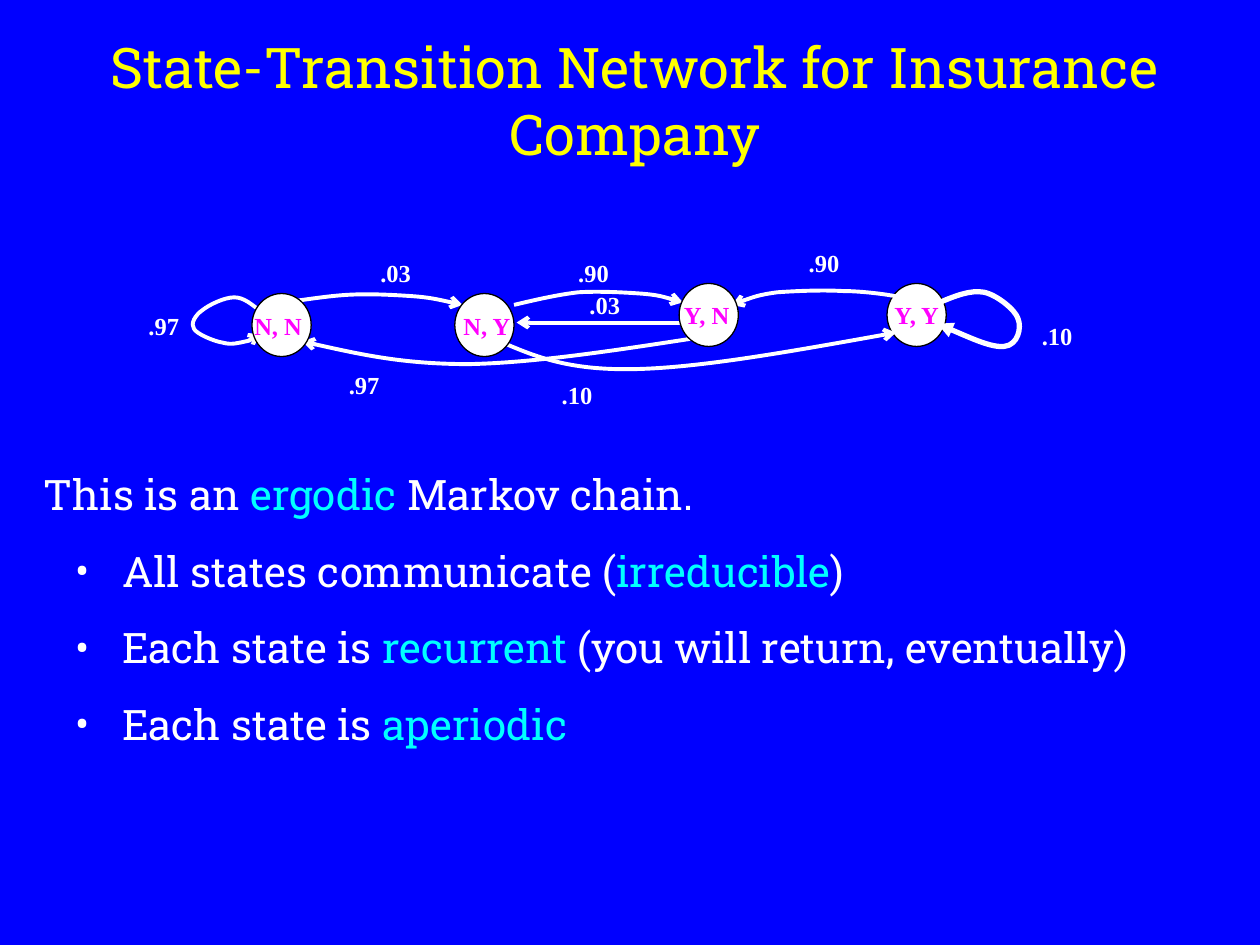
import pptx
import pptx.util
import pptx.dml.color
import pptx.enum.shapes
import pptx.enum.text
import pptx.oxml.ns
from dataclasses import dataclass
from lxml import etree
from pptx.util import Inches, Pt

qn = pptx.oxml.ns.qn
PP_ALIGN = pptx.enum.text.PP_ALIGN


@dataclass(frozen=True)
class Theme:
    background: str = "0000FF"
    title: str = "FFFF00"
    text: str = "FFFFFF"
    accent: str = "00FFFF"
    state: str = "FF00FF"
    outline: str = "000000"
    heading_font: str = "Roboto Slab"
    label_font: str = "Times New Roman"
    title_size: int = 32
    body_size: int = 24
    label_size: int = 14
    arrow_width: float = 2.25
    outline_width: float = 0.75


def rgb(color):
    return pptx.dml.color.RGBColor.from_string(color)


class Deck:
    def __init__(self, theme):
        self.theme = theme
        self.prs = pptx.Presentation()
        self.prs.slide_width, self.prs.slide_height = Inches(10), Inches(7.5)
        self.s = self.prs.slides.add_slide(self.prs.slide_layouts[6])
        fill = self.s.background.fill
        fill.solid()
        fill.fore_color.rgb = rgb(theme.background)

    def box(self, at, shapes=None):
        """Add an empty wrapping text box and return its text frame."""
        if shapes is None:
            shapes = self.s.shapes
        tf = shapes.add_textbox(*map(Inches, at)).text_frame
        tf.word_wrap = True
        return tf

    def style(self, p, font, size, color, bold=False):
        p.font.name, p.font.size, p.font.bold = font, Pt(size), bold
        p.font.color.rgb = rgb(color)

    def title(self, text, at):
        tf = self.box(at)
        tf.vertical_anchor = pptx.enum.text.MSO_ANCHOR.MIDDLE
        p = tf.paragraphs[0]
        p.text, p.alignment = text, PP_ALIGN.CENTER
        self.style(p, self.theme.heading_font, self.theme.title_size, self.theme.title)

    def label(self, text, at, color=None, shapes=None):
        p = self.box(at, shapes).paragraphs[0]
        p.text = text
        self.style(p, self.theme.label_font, self.theme.label_size,
                   color or self.theme.text, bold=True)

    def state(self, text, left, top, label_at):
        """Add a circle grouped with its name."""
        group = self.s.shapes.add_group_shape()
        sp = group.shapes.add_shape(pptx.enum.shapes.MSO_SHAPE.OVAL, Inches(left),
                                    Inches(top), Inches(0.47), Inches(0.5))
        sp.shadow.inherit = False
        sp.fill.solid()
        sp.fill.fore_color.rgb = rgb(self.theme.text)
        sp.line.color.rgb = rgb(self.theme.outline)
        sp.line.width = Pt(self.theme.outline_width)
        self.label(text, label_at, self.theme.state, group.shapes)

    def arrow_line(self, shape, head, width):
        shape.line.color.rgb = rgb(self.theme.text)
        shape.line.width = Pt(width)
        etree.SubElement(shape.line._get_or_add_ln(), qn("a:tailEnd"), type=head)

    def arrow(self, start, end):
        c = self.s.shapes.add_connector(pptx.enum.shapes.MSO_CONNECTOR.STRAIGHT,
                                        *map(Inches, start + end))
        self.arrow_line(c, "arrow", self.theme.arrow_width)
        etree.SubElement(c._element.spPr, qn("a:effectLst"))

    def curve(self, points, head="arrow", width=None):
        """Draw cubic Bezier pieces: a start, then three points a piece."""
        start, *rest = [(Inches(x), Inches(y)) for x, y in points]
        builder = self.s.shapes.build_freeform(*start)
        builder.add_line_segments(rest, close=False)
        sp = builder.convert_to_shape()
        sp.shadow.inherit = False
        sp.fill.background()
        self.arrow_line(sp, head, width or self.theme.arrow_width)
        outline = next(sp._element.iter(qn("a:path")))
        segments = outline.findall(qn("a:lnTo"))
        for i in range(0, len(segments), 3):
            bezier = etree.SubElement(outline, qn("a:cubicBezTo"))
            for segment in segments[i:i + 3]:
                bezier.append(segment[0])
                outline.remove(segment)

    def body(self, lead, bullets, at):
        """Write a lead line and bullets; every second part is accented."""
        tf = self.box(at)
        for i, parts in enumerate([lead] + bullets):
            p = tf.paragraphs[0] if i == 0 else tf.add_paragraph()
            self.style(p, self.theme.heading_font, self.theme.body_size, self.theme.text)
            p.space_before, p.space_after = Pt(0 if i else 15), Pt(15)
            for j, part in enumerate(parts):
                r = p.add_run()
                r.text = part
                if j % 2:
                    r.font.color.rgb = rgb(self.theme.accent)
            if i:
                self.bullet(p)

    def bullet(self, p):
        p.level = 1
        pPr = p._p.get_or_add_pPr()
        pPr.set("marL", str(Inches(0.62)))
        pPr.set("indent", str(Inches(-0.37)))
        color = etree.Element(qn("a:buClr"))
        etree.SubElement(color, qn("a:srgbClr"), val=self.theme.text)
        font = etree.Element(qn("a:buFont"), typeface=self.theme.heading_font)
        char = etree.Element(qn("a:buChar"), char="•")
        for element in (color, font, char):
            pPr.find(qn("a:defRPr")).addprevious(element)


CURVES = [
    [(2.07, 2.47), (2, 2.42), (1.94, 2.36), (1.86, 2.36),
     (1.78, 2.36), (1.66, 2.42), (1.61, 2.46), (1.55, 2.5), (1.51, 2.57), (1.54, 2.61),
     (1.56, 2.65), (1.7, 2.71), (1.77, 2.72), (1.84, 2.74), (1.9, 2.72), (1.95, 2.71),
     (2, 2.7), (2.04, 2.67), (2.07, 2.65)],
    [(2.25, 2.4), (2.42, 2.38), (2.59, 2.35), (2.76, 2.34),
     (2.93, 2.33), (3.11, 2.34), (3.26, 2.35), (3.41, 2.36), (3.54, 2.39), (3.67, 2.42)],
    [(7.15, 2.36), (7.07, 2.34), (6.85, 2.31), (6.69, 2.31),
     (6.52, 2.3), (6.31, 2.31), (6.17, 2.32), (6.02, 2.34), (5.91, 2.38), (5.81, 2.42)],
    [(4.08, 2.42), (4.25, 2.38), (4.42, 2.34), (4.59, 2.32),
     (4.75, 2.31), (4.94, 2.32), (5.08, 2.33), (5.22, 2.34), (5.32, 2.37), (5.42, 2.4)],
    [(3.99, 2.72), (4.25, 2.83), (4.51, 2.94), (5.03, 2.93),
     (5.55, 2.92), (6.33, 2.78), (7.11, 2.64)],
    [(5.54, 2.68), (4.89, 2.78), (4.25, 2.88), (3.72, 2.89),
     (3.2, 2.89), (2.8, 2.8), (2.4, 2.71)],
]
YY_LOOP = [(7.46, 2.4), (7.58, 2.35), (7.7, 2.3), (7.81, 2.32),
           (7.91, 2.34), (8.06, 2.46), (8.08, 2.53),
           (8.11, 2.6), (8.08, 2.74), (7.97, 2.75), (7.87, 2.76), (7.65, 2.66), (7.44, 2.57)]
PROBABILITIES = [
    (".97", (1.08, 2.42, 0.5, 0.25)), (".03", (2.92, 2, 0.67, 0.25)),
    (".97", (2.67, 2.89, 0.58, 0.53)), (".90", (4.49, 2, 1.01, 0.33)),
    (".03", (4.58, 2.25, 0.75, 0.32)), (".10", (4.36, 2.97, 0.47, 0.36)),
    (".90", (6.32, 1.92, 0.6, 0.42)), (".10", (8.17, 2.5, 0.74, 0.47)),
]
STATES = [
    ("Y, N", 5.39, 2.25, (5.33, 2.33, 0.72, 0.42)),
    ("N, Y", 3.61, 2.33, (3.58, 2.42, 1.08, 0.25)),
    ("N, N", 2, 2.33, (1.92, 2.42, 0.83, 0.33)),
]


def main():
    deck = Deck(Theme())
    deck.state("Y, Y", 7.04, 2.25, (7, 2.33, 0.68, 0.32))
    for points in CURVES:
        deck.curve(points)
    deck.curve(YY_LOOP, head="triangle", width=3)
    deck.arrow((5.44, 2.56), (4.1, 2.56))
    for text, at in PROBABILITIES:
        deck.label(text, at)
    for state in STATES:
        deck.state(*state)
    deck.title("State-Transition Network for Insurance Company", (0.75, 0.25, 8.58, 1.08))
    deck.body(["This is an ", "ergodic ", "Markov chain."],
              [["All states communicate (", "irreducible", ")"],
               ["Each state is ", "recurrent", " (you will return, eventually)"],
               ["Each state is ", "aperiodic"]],
              (0.25, 3.67, 9.42, 2.33))
    deck.prs.save("out.pptx")


if __name__ == "__main__":
    main()
